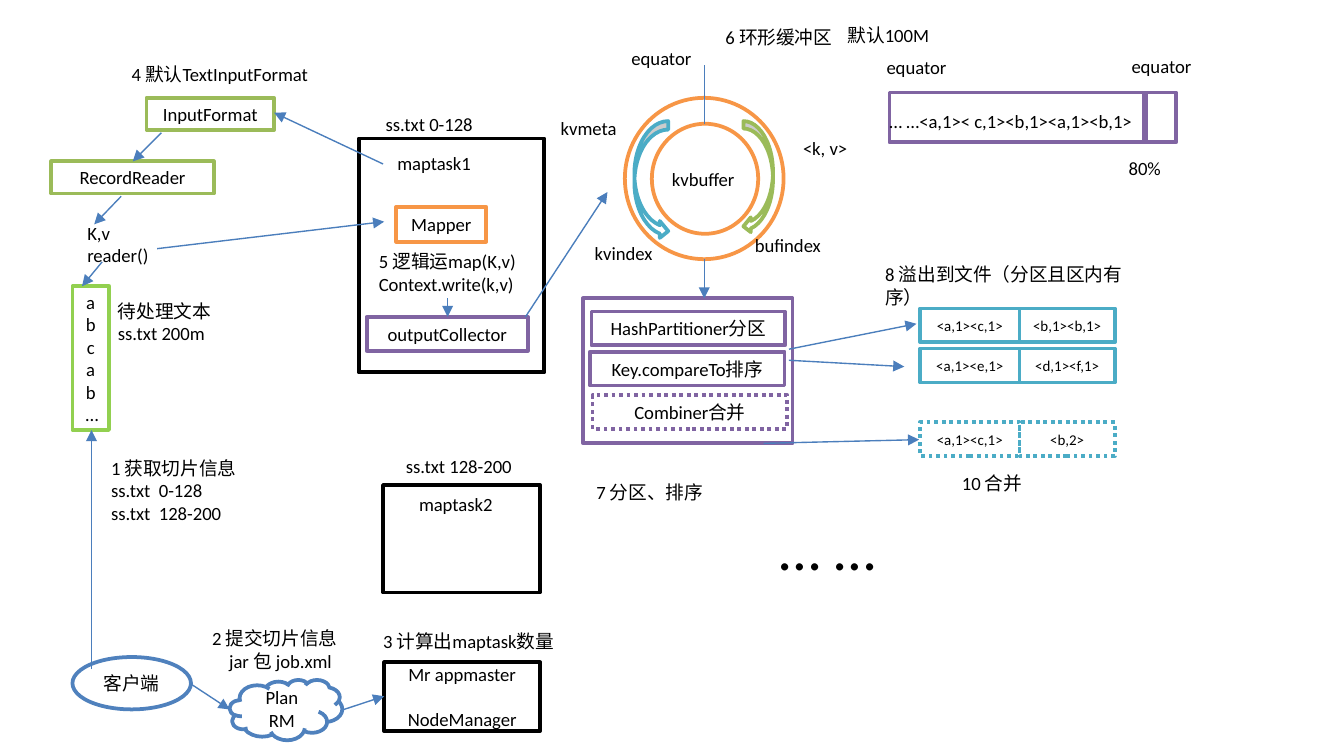
from dataclasses import dataclass
from typing import Optional

import pptx
import pptx.util
import pptx.dml.color
import pptx.enum.dml
import pptx.enum.shapes
import pptx.enum.text
import pptx.oxml.ns
from lxml import etree

Cm, Pt = pptx.util.Cm, pptx.util.Pt
RGBColor = pptx.dml.color.RGBColor
SHAPE = pptx.enum.shapes.MSO_SHAPE
ALIGN = pptx.enum.text.PP_ALIGN
qn = pptx.oxml.ns.qn

BLACK = RGBColor(0, 0, 0)
WHITE = RGBColor(255, 255, 255)
LIME = RGBColor(0x92, 0xD0, 0x50)
GREEN = RGBColor(0x9B, 0xBB, 0x59)
BLUE = RGBColor(0x4F, 0x81, 0xBD)
LINE_BLUE = RGBColor(0x4B, 0x7E, 0xBC)
ORANGE = RGBColor(0xF7, 0x96, 0x46)
PURPLE = RGBColor(0x80, 0x64, 0xA2)
TEAL = RGBColor(0x4B, 0xAC, 0xC6)


@dataclass
class Box:
    x: float
    y: float
    w: float
    h: float
    color: RGBColor
    text: str = ""
    kind: SHAPE = SHAPE.RECTANGLE
    size: float = 10
    dotted: bool = False
    fill: Optional[RGBColor] = None
    gap: float = 0


@dataclass
class Label:
    x: float
    y: float
    w: float
    text: str
    wrap: bool = True
    align: ALIGN = ALIGN.LEFT
    size: float = 10
    indent: float = 0


@dataclass
class Arrow:
    x1: float
    y1: float
    x2: float
    y2: float
    head: bool = True


def write(tf, text: str, size: float = 10, align=ALIGN.LEFT, gap: float = 0, indent: float = 0) -> None:
    lines = text.split("\n")
    for i, line in enumerate(lines):
        p = tf.paragraphs[0] if i == 0 else tf.add_paragraph()
        p.alignment = align
        r = p.add_run()
        r.text = line
        r.font.size = Pt(size)
        r.font.name = "Calibri"
        r.font.color.rgb = BLACK
    if gap:
        p.space_before = Pt(gap)
    if indent:
        p._p.get_or_add_pPr().set("marL", str(Cm(indent)))


def draw_box(s, b: Box) -> None:
    sp = s.shapes.add_shape(b.kind, Cm(b.x), Cm(b.y), Cm(b.w), Cm(b.h))
    sp.shadow.inherit = False
    if b.fill is None:
        sp.fill.background()
    else:
        sp.fill.solid()
        sp.fill.fore_color.rgb = b.fill
    sp.line.color.rgb = b.color
    sp.line.width = Pt(2)
    if b.dotted:
        sp.line.dash_style = pptx.enum.dml.MSO_LINE.ROUND_DOT
    if b.text:
        tf = sp.text_frame
        tf.vertical_anchor = pptx.enum.text.MSO_ANCHOR.MIDDLE
        write(tf, b.text, size=b.size, align=ALIGN.CENTER, gap=b.gap)


def draw_label(s, b: Label) -> None:
    height = 0.26 + 0.043 * b.size * (b.text.count("\n") + 1)
    tf = s.shapes.add_textbox(Cm(b.x), Cm(b.y), Cm(b.w), Cm(height)).text_frame
    tf.word_wrap = b.wrap
    tf.auto_size = pptx.enum.text.MSO_AUTO_SIZE.SHAPE_TO_FIT_TEXT
    write(tf, b.text, size=b.size, align=b.align, indent=b.indent)


def draw_arrow(s, a: Arrow) -> None:
    c = s.shapes.add_connector(pptx.enum.shapes.MSO_CONNECTOR.STRAIGHT,
                               Cm(a.x1), Cm(a.y1), Cm(a.x2), Cm(a.y2))
    c.line.color.rgb = LINE_BLUE
    c.line.width = Pt(0.75)
    if a.head:
        etree.SubElement(c.line._get_or_add_ln(), qn("a:tailEnd"), type="triangle")
    etree.SubElement(c._element.spPr, qn("a:effectLst"))


BOXES = [
    Box(1.37, 5.41, 0.69, 2.72, LIME, "a\nb\nc\na\nb\n…"),
    Box(6.78, 2.62, 3.51, 4.42, BLACK),
    Box(7.26, 12.52, 2.95, 1.3, BLACK, "Mr appmaster\nNodeManager", gap=12),
    Box(1.37, 12.42, 2.24, 0.99, BLUE, "客户端", SHAPE.OVAL),
    Box(4.34, 12.85, 2.13, 1.14, BLUE, "Plan\nRM", SHAPE.CLOUD),
    Box(7.24, 9.17, 2.97, 2.03, BLACK),
    Box(2.77, 1.85, 2.41, 0.61, GREEN, "InputFormat"),
    Box(0.97, 3.05, 3.07, 0.61, GREEN, "RecordReader"),
    Box(7.49, 3.91, 1.7, 0.66, ORANGE, "Mapper"),
    Box(6.93, 5.99, 3.05, 0.64, PURPLE, "outputCollector"),
    Box(16.81, 1.75, 4.85, 0.94, PURPLE),
    Box(21.62, 1.75, 0.61, 0.94, PURPLE),
    Box(11.02, 5.64, 3.96, 2.74, PURPLE),
    Box(11.18, 5.89, 3.66, 0.64, PURPLE, "HashPartitioner分区"),
    Box(11.15, 6.65, 3.68, 0.64, PURPLE, "Key.compareTo排序"),
    Box(11.2, 7.47, 3.68, 0.64, PURPLE, "Combiner合并", dotted=True),
    Box(11.81, 1.85, 3, 3.05, ORANGE, kind=SHAPE.OVAL),
    Box(12.32, 2.34, 2.01, 2.08, ORANGE, kind=SHAPE.OVAL),
    Box(11.99, 2.29, 0.64, 2.24, TEAL, kind=SHAPE.CURVED_RIGHT_ARROW, fill=WHITE),
    Box(14.05, 2.29, 0.56, 2.13, GREEN, kind=SHAPE.CURVED_LEFT_ARROW, fill=WHITE),
]

SPILLS = [
    (5.83, "<a,1><c,1>", "<b,1><b,1>", False),
    (6.59, "<a,1><e,1>", "<d,1><f,1>", False),
    (7.98, "<a,1><c,1>", "<b,2>", True),
]

LABELS = [
    Label(1.98, 5.54, 2.84, "待处理文本\nss.txt 200m"),
    Label(1.85, 8.51, 3, "1 获取切片信息\nss.txt  0-128\nss.txt  128-200"),
    Label(7.26, 2.74, 2.26, "maptask1"),
    Label(6.91, 4.6, 3.3, "5 逻辑运map(K,v)\nContext.write(k,v)"),
    Label(7.04, 2.01, 2.26, "ss.txt 0-128"),
    Label(3.76, 11.73, 3.05, "2 提交切片信息\njar 包 job.xml", indent=0.32),
    Label(6.99, 11.79, 4.09, "3 计算出maptask数量"),
    Label(1.4, 4.06, 1.83, "K,v reader()"),
    Label(7.67, 9.19, 2.26, "maptask2"),
    Label(7.42, 8.48, 2.87, "ss.txt 128-200"),
    Label(2.24, 1.07, 4.04, "4 默认TextInputFormat"),
    Label(13.46, 0.36, 2.64, "6 环形缓冲区"),
    Label(16.56, 1.96, 5.28, "… …<a,1>< c,1><b,1><a,1><b,1>"),
    Label(15.77, 0.33, 2.26, "默认100M"),
    Label(21.08, 2.84, 1.19, "80%"),
    Label(16.48, 4.85, 5.61, "8 溢出到文件（分区且区内有序）"),
    Label(12.45, 3.05, 1.73, "kvbuffer", wrap=False),
    Label(11.02, 8.97, 2.92, "7 分区、排序"),
    Label(17.93, 8.79, 2.92, "10 合并"),
    Label(14.48, 9.53, 4.09, "… …", size=32),
]

RING_LABELS = [
    (14, 4.29, 1.78, "bufindex"),
    (10.97, 4.45, 1.63, "kvindex"),
    (10.34, 2.08, 1.57, "kvmeta"),
    (14.91, 2.46, 1.37, "<k, v>"),
    (11.66, 0.76, 1.68, "equator"),
    (16.48, 0.94, 1.68, "equator"),
    (21.11, 0.91, 1.68, "equator"),
]

ARROWS = [
    Arrow(1.73, 12.65, 1.73, 8.13),
    Arrow(3.61, 12.93, 4.34, 13.41),
    Arrow(6.5, 13.41, 7.26, 13.16),
    Arrow(1.93, 4.95, 1.55, 5.41),
    Arrow(2.97, 4.7, 7.26, 4.19),
    Arrow(9.93, 5.99, 11.48, 3.63),
    Arrow(3.05, 2.51, 2.51, 3.05),
    Arrow(2.29, 3.71, 1.78, 4.24),
    Arrow(7.24, 3.1, 5.18, 2.13),
    Arrow(8.46, 5.64, 8.46, 5.99),
    Arrow(13.31, 4.9, 13.31, 5.64),
    Arrow(14.91, 6.6, 17.32, 6.12),
    Arrow(14.91, 6.81, 17.09, 6.93),
    Arrow(14.43, 8.38, 17.37, 8.31),
    Arrow(13.31, 2.34, 13.31, 1.22, head=False),
]


def main() -> None:
    prs = pptx.Presentation()
    prs.slide_width, prs.slide_height = Cm(25.4), Cm(14.29)
    s = prs.slides.add_slide(prs.slide_layouts[6])
    for b in BOXES:
        draw_box(s, b)
    for y, left, right, dotted in SPILLS:
        draw_box(s, Box(17.39, y, 1.88, 0.64, TEAL, left, size=8, dotted=dotted))
        draw_box(s, Box(19.27, y, 1.8, 0.64, TEAL, right, size=8, dotted=dotted))
    for b in LABELS:
        draw_label(s, b)
    for x, y, w, text in RING_LABELS:
        draw_label(s, Label(x, y, w, text, wrap=False, align=ALIGN.CENTER))
    for a in ARROWS:
        draw_arrow(s, a)
    prs.save("out.pptx")


if __name__ == "__main__":
    main()
